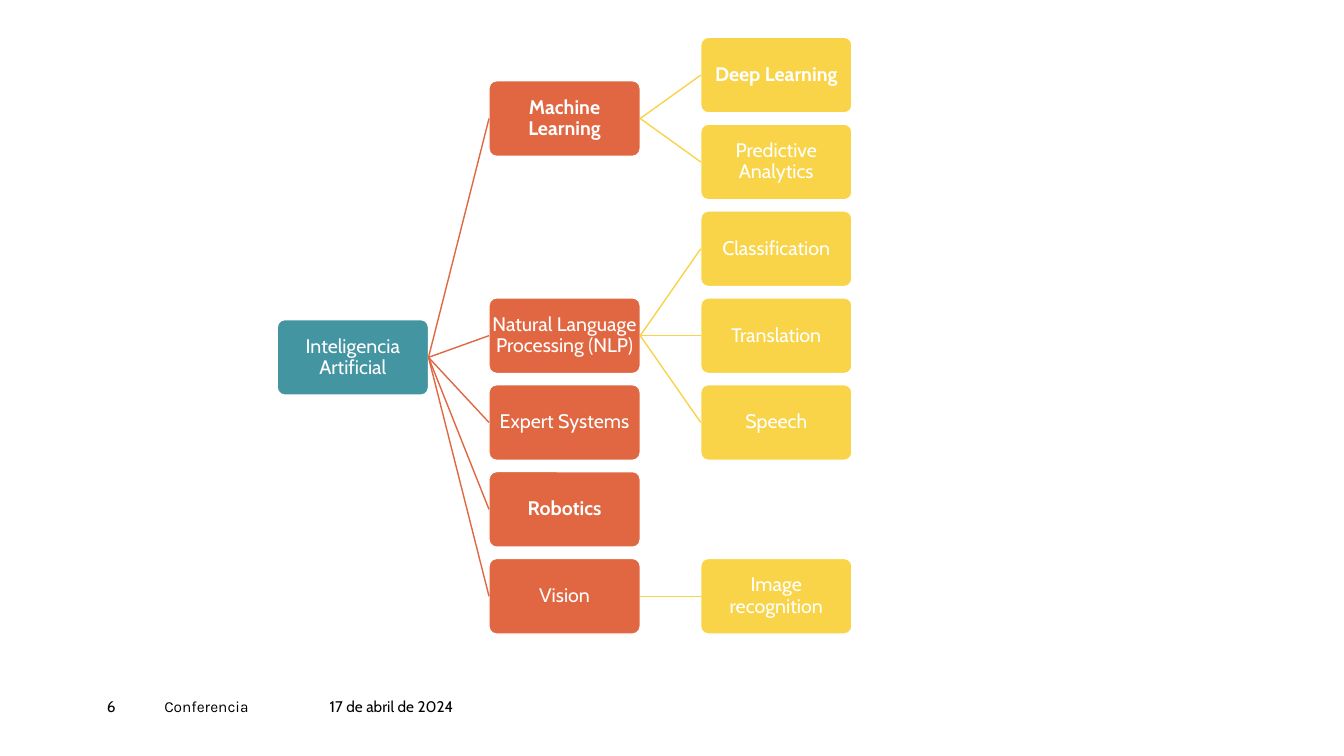
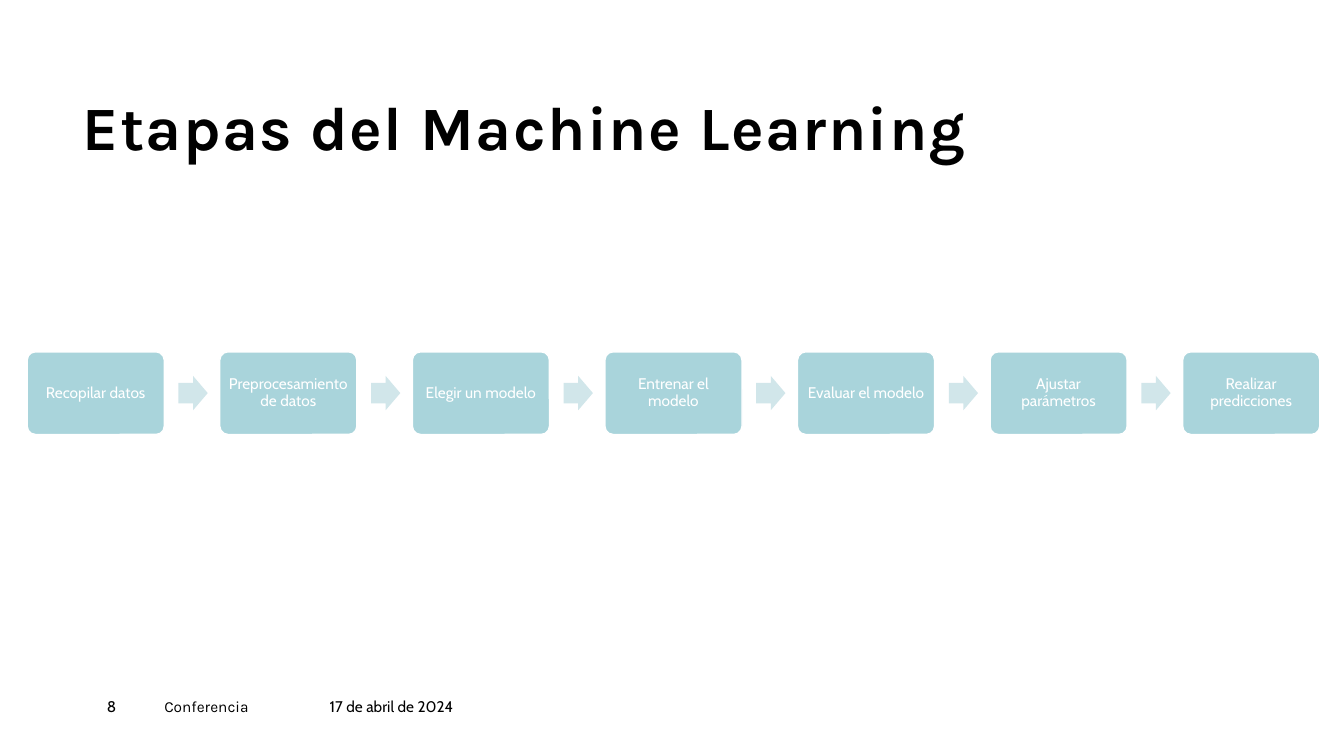
from pptx import Presentation
from pptx.dml.color import RGBColor
from pptx.enum.shapes import MSO_CONNECTOR, MSO_SHAPE
from pptx.enum.text import MSO_ANCHOR, PP_ALIGN
from pptx.oxml.ns import qn
from pptx.util import Inches, Pt
from lxml import etree

COLORS = {"teal": "4495A2", "orange": "E06742", "yellow": "F9D448",
          "step": "A9D4DB", "arrow": "D1E6EA", "white": "FFFFFF", "black": "000000"}
BODY, HEAD = "Cabin", "Karla"

# Tree nodes: text, bold, row (or None: midway between children), children
TREE = ("Inteligencia Artificial", False, None, [
    ("Machine Learning", True, None, [
        ("Deep Learning", True, 0, []),
        ("Predictive Analytics", False, 1, [])]),
    ("Natural Language Processing (NLP)", False, None, [
        ("Classification", False, 2, []),
        ("Translation", False, 3, []),
        ("Speech", False, 4, [])]),
    ("Expert Systems", False, 4, []),
    ("Robotics", True, 5, []),
    ("Vision", False, None, [
        ("Image recognition", False, 6, [])]),
])
LEVEL_COLORS = ["teal", "orange", "yellow"]
TREE_LEFT, TREE_TOP, TREE_BOTTOM = 2.75, 0.37, 5.54
NODE_W, NODE_H = 1.5, 0.75
COLUMN_PITCH, ROW_PITCH = 2.1, (TREE_BOTTOM - TREE_TOP) / 6

STAGES_TITLE = "Etapas del Machine Learning"
STAGES = ["Recopilar datos", "Preprocesamiento de datos", "Elegir un modelo",
          "Entrenar el modelo", "Evaluar el modelo", "Ajustar parámetros",
          "Realizar predicciones"]
STAGE_LEFT, STAGE_TOP, STAGE_W, STAGE_H, STAGE_PITCH = 0.27, 3.49, 1.36, 0.82, 1.91
ARROW_W, ARROW_H, ARROW_GAP = 0.29, 0.34, 0.14

FOOTER_TOP, FOOTER_H = 6.92, 0.27


def rgb(name):
    return RGBColor.from_string(COLORS[name])


def write(sp, text, size=11, font=BODY, color="black", bold=False, align=PP_ALIGN.LEFT,
          anchor=MSO_ANCHOR.TOP, inset=0, line_spacing=None, tracking=0):
    """Put one formatted paragraph in sp; tracking is in points."""
    tf = sp.text_frame
    tf.word_wrap = True
    tf.vertical_anchor = anchor
    tf.margin_left = tf.margin_right = tf.margin_top = tf.margin_bottom = Inches(inset)
    p = tf.paragraphs[0]
    p.alignment = align
    p.line_spacing = line_spacing
    r = p.add_run()
    r.text = text
    r.font.size, r.font.name, r.font.bold = Pt(size), font, bold
    r.font.color.rgb = rgb(color)
    if tracking:
        r.font._element.set("spc", str(tracking * 100))


def add_textbox(s, left, top, width, height, text, **fmt):
    sp = s.shapes.add_textbox(Inches(left), Inches(top), Inches(width), Inches(height))
    write(sp, text, **fmt)


def add_block(s, kind, left, top, width, height, fill, adjustments):
    sp = s.shapes.add_shape(kind, Inches(left), Inches(top), Inches(width), Inches(height))
    sp.shadow.inherit = False
    sp.fill.solid()
    sp.fill.fore_color.rgb = rgb(fill)
    sp.line.fill.background()
    for i, value in enumerate(adjustments):
        sp.adjustments[i] = value
    return sp


def add_box(s, left, top, width, height, fill, text, **fmt):
    sp = add_block(s, MSO_SHAPE.ROUNDED_RECTANGLE, left, top, width, height, fill, [0.1])
    sp.line.color.rgb = rgb("white")
    sp.line.width = Pt(1)
    write(sp, text, color="white", align=PP_ALIGN.CENTER, anchor=MSO_ANCHOR.MIDDLE,
          line_spacing=0.9, **fmt)
    return sp


def join(s, parent, child, color):
    line = s.shapes.add_connector(MSO_CONNECTOR.STRAIGHT, 0, 0, 0, 0)
    line.begin_connect(parent, 3)
    line.end_connect(child, 1)
    line.line.color.rgb = rgb(color)
    line.line.width = Pt(1)
    etree.SubElement(line._element.spPr, qn("a:effectLst"))


def row_of(node):
    _, _, row, children = node
    if row is None:
        return (row_of(children[0]) + row_of(children[-1])) / 2
    return row


def add_tree(s, node, level=0):
    """Draw a node and everything below it; return the node's box."""
    text, bold, _, children = node
    box = add_box(s, TREE_LEFT + level * COLUMN_PITCH, TREE_TOP + row_of(node) * ROW_PITCH,
                  NODE_W, NODE_H, LEVEL_COLORS[level], text,
                  size=14, bold=bold, inset=0.01)
    for child in children:
        join(s, box, add_tree(s, child, level + 1), LEVEL_COLORS[level + 1])
    return box


def add_stages(s):
    for i, stage in enumerate(STAGES):
        left = STAGE_LEFT + i * STAGE_PITCH
        add_box(s, left, STAGE_TOP, STAGE_W, STAGE_H, "step", stage, inset=0.05)
        if i < len(STAGES) - 1:
            add_block(s, MSO_SHAPE.RIGHT_ARROW, left + STAGE_W + ARROW_GAP,
                      STAGE_TOP + (STAGE_H - ARROW_H) / 2, ARROW_W, ARROW_H,
                      "arrow", [0.6, 0.5])


def add_title(s, text):
    add_textbox(s, 0.35, 0.96, 9.71, 0.67, text, size=44, font=HEAD, bold=True,
                align=PP_ALIGN.CENTER, anchor=MSO_ANCHOR.BOTTOM, line_spacing=0.9, tracking=1)


def add_footer(s, number):
    for left, width, text, font in [(1.06, 0.57, str(number), BODY),
                                    (1.63, 1.64, "Conferencia", HEAD),
                                    (3.27, 2.32, "17 de abril de 2024", BODY)]:
        add_textbox(s, left, FOOTER_TOP, width, FOOTER_H, text, font=font)


def main():
    prs = Presentation()
    prs.slide_width, prs.slide_height = Inches(13.33), Inches(7.5)
    blank = prs.slide_layouts[6]

    s = prs.slides.add_slide(blank)
    add_tree(s, TREE)
    add_footer(s, 6)

    s = prs.slides.add_slide(blank)
    add_title(s, STAGES_TITLE)
    add_stages(s)
    add_footer(s, 8)

    prs.save("out.pptx")


if __name__ == "__main__":
    main()
